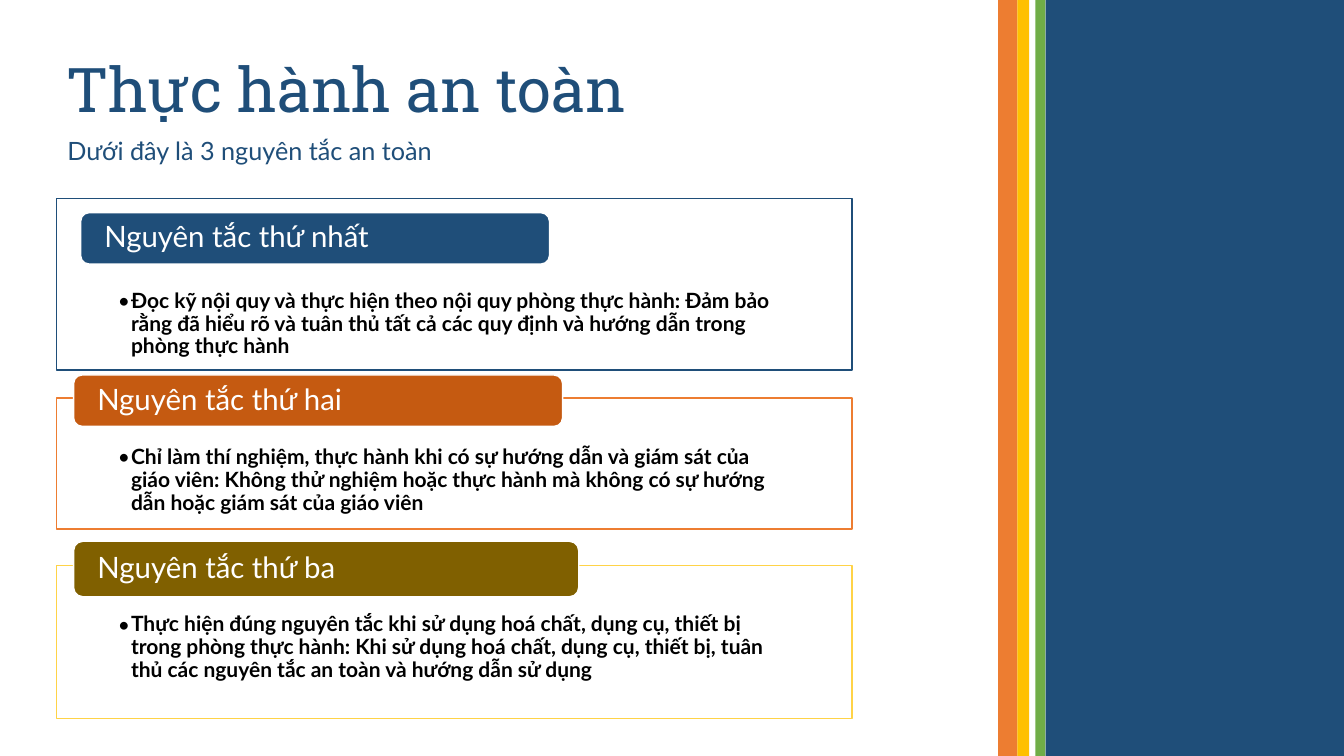
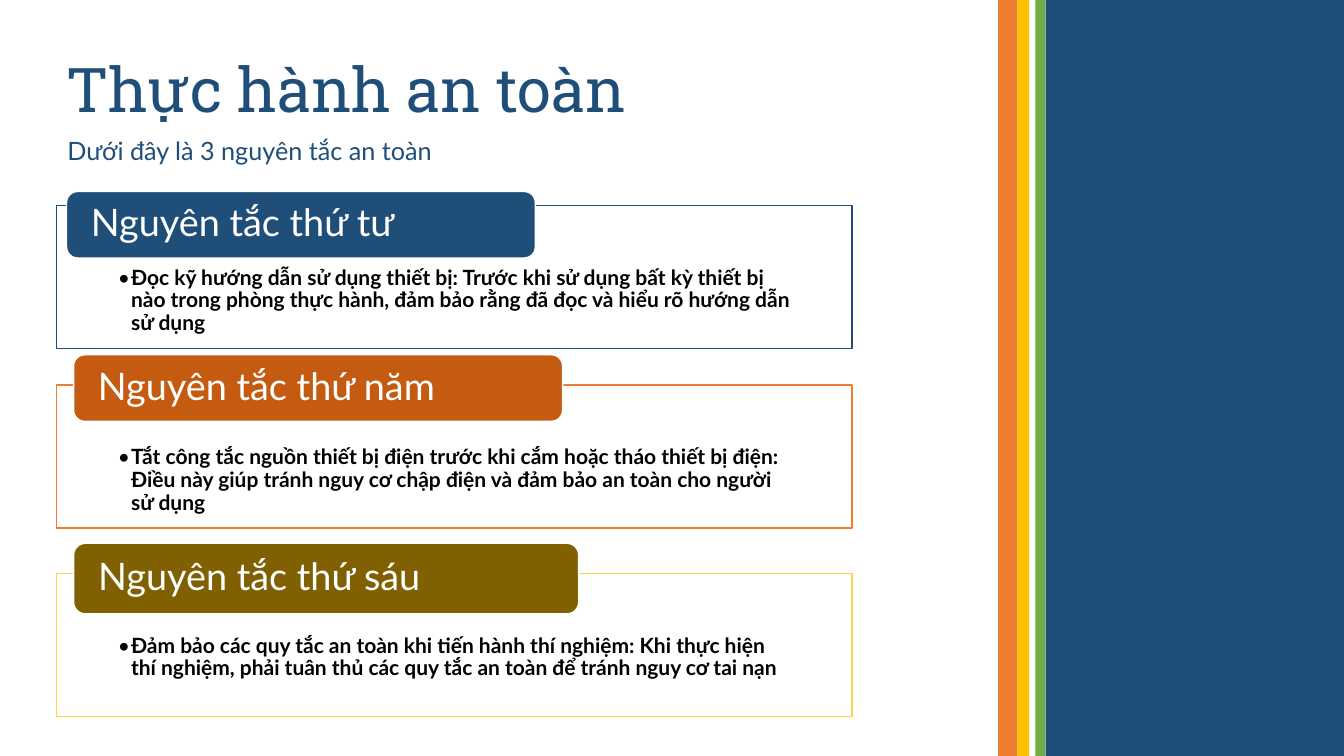
"""Build two slides of laboratory safety rules beside a striped colour band."""
from pptx import Presentation, util as u
from pptx.dml.color import RGBColor
from pptx.enum import shapes, text
from pptx.oxml.ns import qn
from lxml import etree

WIDTH, HEIGHT = 13.33, 7.5
NAVY, ORANGE, WHITE, BLACK = "1F4E79", "ED7D31", "FFFFFF", "000000"
HEAD_FONT, BODY_FONT = "Roboto Slab", "Lato"
TITLE = "Thực hành an toàn"
SUBTITLE = "Dưới đây là 3 nguyên tắc an toàn"

BAND_LEFT = 9.9
STRIPES = [(ORANGE, 0.19), ("FFC000", 0.12), (WHITE, 0.06), ("70AD47", 0.1), (NAVY, 2.96)]

PANEL_LEFT, PANEL_WIDTH = 0.56, 7.89
DETAIL_LEFT, DETAIL_WIDTH = 1.17, 6.69
LABEL_SIDE = 0.21
BULLET_INDENT = 0.13
RULE_STYLES = [(NAVY, NAVY, 4.65), (ORANGE, "C55A11", 4.85), ("FFD347", "806000", 5.01)]

SLIDES = [
    {"label_size": 21, "rules": [
        {"label": "Nguyên tắc thứ nhất", "label_at": (0.8, 2.11, 0.51),
         "panel_at": (1.97, 1.7), "inset": 0.91,
         "detail": "Đọc kỹ nội quy và thực hiện theo nội quy phòng thực hành: Đảm bảo rằng "
                   "đã hiểu rõ và tuân thủ tất cả các quy định và hướng dẫn trong phòng thực hành"},
        {"label": "Nguyên tắc thứ hai", "label_at": (0.73, 3.72, 0.51),
         "panel_at": (3.95, 1.3), "inset": 0.48,
         "detail": "Chỉ làm thí nghiệm, thực hành khi có sự hướng dẫn và giám sát của giáo viên: "
                   "Không thử nghiệm hoặc thực hành mà không có sự hướng dẫn hoặc giám sát "
                   "của giáo viên"},
        {"label": "Nguyên tắc thứ ba", "label_at": (0.73, 5.37, 0.55),
         "panel_at": (5.61, 1.52), "inset": 0.48,
         "detail": "Thực hiện đúng nguyên tắc khi sử dụng hoá chất, dụng cụ, thiết bị trong phòng "
                   "thực hành: Khi sử dụng hoá chất, dụng cụ, thiết bị, tuân thủ các nguyên tắc "
                   "an toàn và hướng dẫn sử dụng"},
    ]},
    {"label_size": 27, "rules": [
        {"label": "Nguyên tắc thứ tư", "label_at": (0.66, 1.9, 0.66),
         "panel_at": (2.04, 1.42), "inset": 0.61,
         "detail": "Đọc kỹ hướng dẫn sử dụng thiết bị: Trước khi sử dụng bất kỳ thiết bị nào trong "
                   "phòng thực hành, đảm bảo rằng đã đọc và hiểu rõ hướng dẫn sử dụng"},
        {"label": "Nguyên tắc thứ năm", "label_at": (0.73, 3.52, 0.66),
         "panel_at": (3.82, 1.42), "inset": 0.61,
         "detail": "Tắt công tắc nguồn thiết bị điện trước khi cắm hoặc tháo thiết bị điện: Điều "
                   "này giúp tránh nguy cơ chập điện và đảm bảo an toàn cho người sử dụng"},
        {"label": "Nguyên tắc thứ sáu", "label_at": (0.73, 5.39, 0.7),
         "panel_at": (5.69, 1.42), "inset": 0.61,
         "detail": "Đảm bảo các quy tắc an toàn khi tiến hành thí nghiệm: Khi thực hiện thí nghiệm, "
                   "phải tuân thủ các quy tắc an toàn để tránh nguy cơ tai nạn"},
    ]},
]


def rgb(code):
    return RGBColor.from_string(code)


def add_block(slide, kind, box, fill, line=None):
    block = slide.shapes.add_shape(kind, *map(u.Inches, box))
    block.shadow.inherit = False
    block.fill.solid()
    block.fill.fore_color.rgb = rgb(fill)
    if line:
        block.line.color.rgb = rgb(line)
        block.line.width = u.Pt(1)
    else:
        block.line.fill.background()
    return block


def write(holder, words, size, color, insets, anchor, font=BODY_FONT, bold=False):
    frame = holder.text_frame
    frame.word_wrap = True
    frame.vertical_anchor = anchor
    (frame.margin_left, frame.margin_top,
     frame.margin_right, frame.margin_bottom) = map(u.Inches, insets)
    paragraph = frame.paragraphs[0]
    paragraph.alignment = text.PP_ALIGN.LEFT
    paragraph.line_spacing = 0.9
    run = paragraph.add_run()
    run.text = words
    run.font.name, run.font.size, run.font.bold = font, u.Pt(size), bold
    run.font.color.rgb = rgb(color)
    return paragraph


def add_text(slide, box, *content, **style):
    return write(slide.shapes.add_textbox(*map(u.Inches, box)), *content, **style)


def add_bullet(paragraph):
    indent = u.Inches(BULLET_INDENT)
    properties = paragraph._p.get_or_add_pPr()
    properties.set("marL", str(indent))
    properties.set("indent", str(-indent))
    etree.SubElement(properties, qn("a:buFont")).set("typeface", BODY_FONT)
    etree.SubElement(properties, qn("a:buChar")).set("char", "•")


def add_frame(slide):
    left = BAND_LEFT
    for color, width in STRIPES:
        add_block(slide, shapes.MSO_SHAPE.RECTANGLE, (left, 0, width, HEIGHT), color)
        left += width
    add_text(slide, (0.56, 0.13, 8.95, 1.17), TITLE, 44, NAVY, (0.1, 0.05, 0.1, 0.05),
             text.MSO_ANCHOR.BOTTOM, font=HEAD_FONT)
    add_text(slide, (0.57, 1.33, 8.94, 0.42), SUBTITLE, 18, NAVY, (0.1, 0, 0.1, 0.05),
             text.MSO_ANCHOR.MIDDLE)


def add_rule(slide, rule, style, label_size):
    outline, label_fill, label_width = style
    top, height = rule["panel_at"]
    inset = rule["inset"]
    add_block(slide, shapes.MSO_SHAPE.RECTANGLE,
              (PANEL_LEFT, top, PANEL_WIDTH, height), WHITE, outline)
    detail = add_text(slide, (DETAIL_LEFT, top + inset, DETAIL_WIDTH, height - inset),
                      rule["detail"], 15, BLACK, (0, 0, 0, 0),
                      text.MSO_ANCHOR.TOP, bold=True)
    add_bullet(detail)
    left, top, height = rule["label_at"]
    label = add_block(slide, shapes.MSO_SHAPE.ROUNDED_RECTANGLE,
                      (left, top, label_width, height), label_fill, WHITE)
    write(label, rule["label"], label_size, WHITE,
          (LABEL_SIDE, 0, LABEL_SIDE, 0), text.MSO_ANCHOR.MIDDLE)


def main():
    deck = Presentation()
    deck.slide_width, deck.slide_height = u.Inches(WIDTH), u.Inches(HEIGHT)
    for page in SLIDES:
        slide = deck.slides.add_slide(deck.slide_layouts[6])
        add_frame(slide)
        for rule, style in zip(page["rules"], RULE_STYLES):
            add_rule(slide, rule, style, page["label_size"])
    deck.save("out.pptx")


if __name__ == "__main__":
    main()
